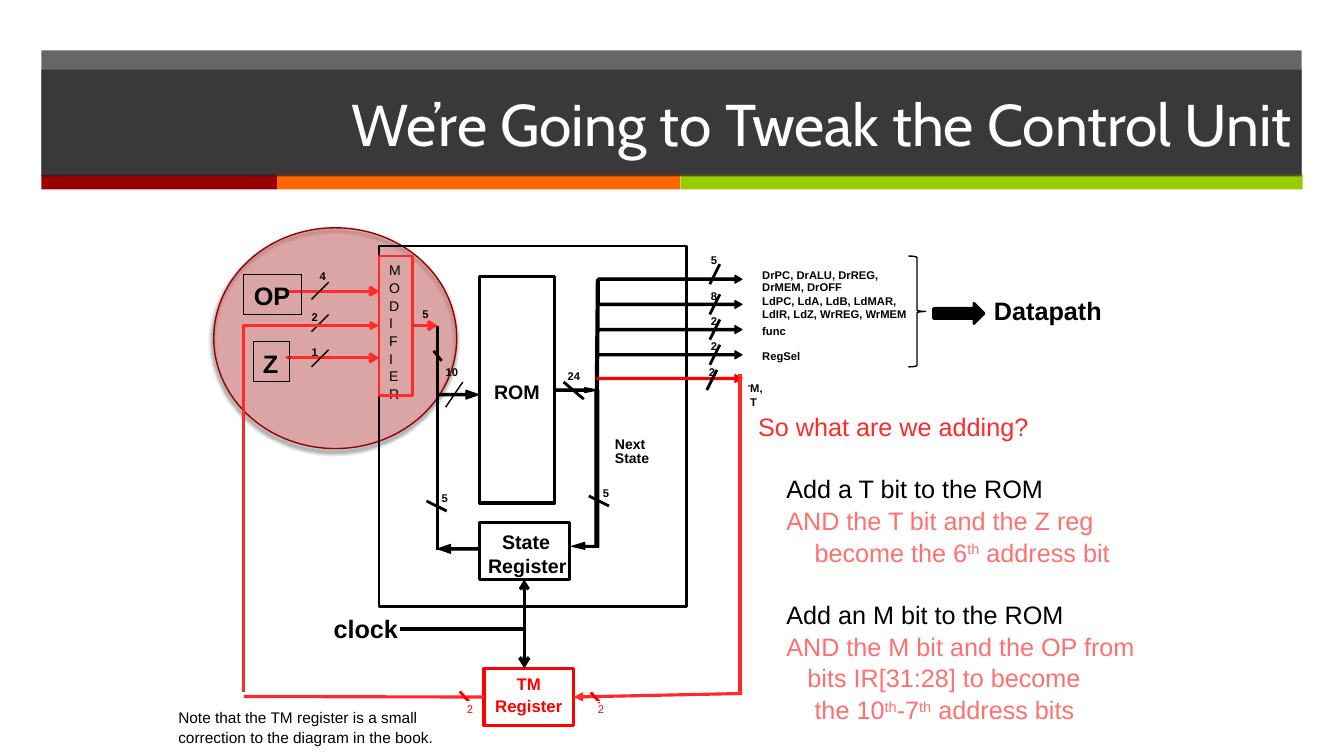
from lxml.etree import SubElement
from pptx import Presentation
from pptx.dml.color import RGBColor
from pptx.enum.shapes import MSO_CONNECTOR as CONN, MSO_SHAPE as SHAPE
from pptx.enum.text import MSO_ANCHOR as ANCHOR, MSO_AUTO_SIZE as FIT, PP_ALIGN as ALIGN
from pptx.oxml.ns import qn
from pptx.util import Inches, Pt

BLACK, WHITE = RGBColor(0, 0, 0), RGBColor(255, 255, 255)
RED, SIGNAL, PALE = RGBColor(255, 0, 0), RGBColor(255, 41, 41), RGBColor(255, 112, 112)
DARK, RIM, MAROON = RGBColor(38, 38, 38), RGBColor(150, 0, 0), RGBColor(153, 0, 0)
ORANGE, GREEN = RGBColor(255, 102, 0), RGBColor(153, 204, 0)
CELL = 0.1  # inches per grid column and row


def put(obj, **values):
    for name, value in values.items():
        setattr(obj, name, value)


def g(cells):
    return Inches(cells * CELL)


class Board:
    """Draws on one slide; every place and length is in grid cells."""

    def __init__(self, slide, font="Arial", spacing=1.05):
        self.shapes, self.font, self.spacing = slide.shapes, font, spacing

    def paint(self, s, fill=None, alpha=None, edge=None, width=0):
        if fill is None:
            s.fill.background()
        else:
            s.fill.solid()
            s.fill.fore_color.rgb = fill
        if alpha:
            color = s._element.spPr.find(qn("a:solidFill"))[0]
            SubElement(color, qn("a:alpha"), val=str(alpha * 1000))
        if edge is None:
            s.line.fill.background()
        else:
            s.line.color.rgb = edge
            s.line.width = Pt(width)

    def shape(self, kind, x, y, w, h, **look):
        s = self.shapes.add_shape(kind, g(x), g(y), g(w), g(h))
        s.shadow.inherit = False
        self.paint(s, **look)
        return s

    def rect(self, *box, **look):
        return self.shape(SHAPE.RECTANGLE, *box, **look)

    def fill_text(self, tf, paras, size, color=BLACK, bold=False, align=ALIGN.LEFT,
                  font=None, spacing=None):
        """Each paragraph is a string or a dict of text, indent, after and color; ^ marks superscript."""
        for i, para in enumerate(paras):
            d = para if isinstance(para, dict) else {"text": para}
            p = tf.paragraphs[0] if i == 0 else tf.add_paragraph()
            put(p, alignment=align, line_spacing=spacing or self.spacing,
                space_after=Pt(d.get("after", 0)))
            if "indent" in d:
                p._p.get_or_add_pPr().set("marL", str(g(d["indent"])))
            for j, part in enumerate(d["text"].split("^")):
                r = p.add_run()
                r.text = part
                put(r.font, name=font or self.font, size=Pt(size), bold=bold)
                r.font.color.rgb = d.get("color", color)
                if j % 2:
                    r.font._element.set("baseline", "30000")

    def text(self, x, y, w, h, paras, size, wrap=False, inset=True, look=None, **style):
        s = self.shapes.add_textbox(g(x), g(y), g(w), g(h))
        if look:
            self.paint(s, **look)
        tf = s.text_frame
        put(tf, word_wrap=wrap, auto_size=FIT.SHAPE_TO_FIT_TEXT)
        if not inset:
            put(tf, margin_left=0, margin_right=0, margin_top=0, margin_bottom=0)
        self.fill_text(tf, [paras] if isinstance(paras, str) else paras, size, **style)

    def label(self, x, y, w, text, size=8, h=1.3, bold=True, **style):
        self.text(x, y, w, h, text, size, inset=False, bold=bold, **style)

    def line(self, x1, y1, x2, y2, color=BLACK, width=0, head=None, tail=None,
             start=None, end=None, kind=CONN.STRAIGHT):
        c = self.shapes.add_connector(kind, g(x1), g(y1), g(x2), g(y2))
        if start:
            c.begin_connect(*start)
        if end:
            c.end_connect(*end)
        c.line.color.rgb = color
        c.line.width = Pt(width)
        ln = c._element.spPr.find(qn("a:ln"))
        for tag, arrow in (("a:headEnd", head), ("a:tailEnd", tail)):
            if arrow:
                SubElement(ln, qn(tag), type=arrow)
        SubElement(c._element.spPr, qn("a:effectLst"))
        return c

    def bent(self, x1, y1, x2, y2, **look):
        """One-corner connector that leaves vertically: down then left, or up then right."""
        cx, cy, w, h = (x1 + x2) / 2, (y1 + y2) / 2, abs(y2 - y1), abs(x2 - x1)
        c = self.line(cx - w / 2, cy - h / 2, cx + w / 2, cy + h / 2, kind=CONN.ELBOW, **look)
        c._element.spPr.find(qn("a:prstGeom")).set("prst", "bentConnector2")
        xfrm = c._element.spPr.find(qn("a:xfrm"))
        xfrm.set("rot", "5400000")
        if y2 < y1:
            xfrm.set("flipH", "1")
            xfrm.set("flipV", "1")

    def polygon(self, points, color=BLACK):
        pts = [(g(x), g(y)) for x, y in points]
        fb = self.shapes.build_freeform(*pts[0], scale=1.0)
        fb.add_line_segments(pts[1:], close=True)
        s = fb.convert_to_shape()
        s.shadow.inherit = False
        self.paint(s, fill=color, edge=color)

    def bus(self, x1, x2, y, head=0.7, half=0.4, color=BLACK):
        """Solid horizontal arrow from x1 to x2."""
        neck = x2 - head if x2 > x1 else x2 + head
        self.polygon([(x1, y - 0.12), (neck, y - 0.12), (neck, y - half), (x2, y),
                      (neck, y + half), (neck, y + 0.12), (x1, y + 0.12)], color)


def banner(b):
    b.rect(4.1, 5, 125, 12.4, fill=DARK, alpha=70)
    for x, w, color in ((4.1, 23.4, MAROON), (27.5, 40, ORANGE), (67.5, 61.7, GREEN)):
        b.rect(x, 17.3, w, 1.5, fill=color)


def title(b):
    s = b.rect(4.1, 6.9, 125, 10.6, fill=DARK, alpha=70)
    put(s.text_frame, word_wrap=True, vertical_anchor=ANCHOR.MIDDLE)
    b.fill_text(s.text_frame, ["We’re Going to Tweak the Control Unit"], 42, WHITE,
                align=ALIGN.RIGHT, font="Cabin", spacing=1.0)


def outputs(b):
    for y, w, signal in ((26.6, 11.9, "DrPC, DrALU, DrREG,"), (27.7, 8, "DrMEM, DrOFF"),
                         (29.1, 13.4, "LdPC, LdA, LdB, LdMAR,"),
                         (30.4, 14.5, "LdIR, LdZ, WrREG, WrMEM"),
                         (32.1, 2.4, "func"), (34.6, 3.8, "RegSel")):
        b.label(75.6, y, w, signal)
    b.label(74.2, 37.9, 0.7, "T")
    b.shape(SHAPE.RIGHT_BRACE, 90.1, 25.4, 1.7, 11, edge=BLACK, width=1)
    b.shape(SHAPE.RIGHT_ARROW, 92.6, 30.1, 5, 2, fill=BLACK, edge=BLACK, width=2)
    b.text(97.6, 28.7, 12.8, 4, "Datapath", 18, bold=True)


def additions(b):
    b.text(74.2, 40.2, 41.2, 31.3, [
        {"text": "So what are we adding?", "color": SIGNAL, "after": 21.6},
        {"text": "Add a T bit to the ROM", "indent": 2.8},
        {"text": "AND the T bit and the Z reg", "indent": 2.8, "color": PALE},
        {"text": "become the 6^th^ address bit", "indent": 5.6, "color": PALE, "after": 21.6},
        {"text": "Add an M bit to the ROM", "indent": 2.8},
        {"text": "AND the M bit and the OP from", "indent": 2.8, "color": PALE},
        {"text": "bits IR[31:28] to become", "indent": 4.9, "color": PALE},
        {"text": "the 10^th^-7^th^ address bits", "indent": 5.6, "color": PALE},
    ], 18, wrap=True)
    b.label(74.4, 37.8, 2.2, "M, T", look={"fill": WHITE})


def highlight(b):
    s = b.shape(SHAPE.OVAL, 21.2, 22.6, 24.1, 21.9, fill=SIGNAL, alpha=25, edge=RIM, width=1)
    shadow = SubElement(s._element.spPr.find(qn("a:effectLst")), qn("a:outerShdw"),
                        blurRad=str(Pt(3)), dist=str(Pt(2)), dir="6600000", rotWithShape="0")
    SubElement(SubElement(shadow, qn("a:srgbClr"), val="000000"), qn("a:alpha"), val="75000")


def control_unit(b):
    b.text(32.1, 60.2, 8.5, 4, "clock", 18, bold=True)
    b.bent(52, 57.5, 39.7, 62.4, width=2.25, head="arrow")
    for row, (bits, y) in enumerate((("5", 25.1), ("8", 28.6), ("2", 31.1), ("2", 33.6))):
        wire = 27.7 + 2.5 * row
        b.bus(59.3, 73.6, wire)
        slash = wire + (0.5 if row else 0)
        b.line(70.4, slash + 0.5, 71.4, slash - 1.5)
        b.label(70.5, y, 0.6, bits)
    b.rect(47.6, 27.4, 7.4, 22.5, edge=BLACK, width=2.25)
    b.rect(47.6, 51.8, 8.9, 5.7, edge=BLACK, width=2.25)
    for x, y, w, name in ((49, 37.6, 4.6, "ROM"), (49.8, 52.5, 4.8, "State"),
                          (48.4, 54.8, 7.8, "Register")):
        b.label(x, y, w, name, size=14, h=2.4)
    b.bus(55.1, 59.3, 38.7, head=1.3, half=0.25)
    b.line(59.2, 38.7, 59.3, 27.7, width=3)
    b.polygon([(59.4, 38.7), (59.4, 54.3), (58, 54.3), (58, 54.5), (56.7, 54.2),
               (58, 53.8), (58, 54.1), (59, 54.1), (59, 38.7)])
    b.bus(43.4, 47.5, 39.15, head=1.3, half=0.45)
    b.bus(47.5, 43.4, 54.45, head=1.3, half=0.45)
    b.line(43.4, 32.3, 43.4, 54.6, width=2.25)
    for y, word in ((43.1, "Next"), (44.5, "State")):
        b.label(61, y, 3.4, word, size=10, h=1.7)
    b.rect(37.6, 24.4, 30.5, 35.8, edge=BLACK, width=2)


def modifier(b):
    for y in (28.9, 35.5):
        b.line(28.4, y, 37.6, y, color=SIGNAL, width=2.25, tail="arrow")
    for x, y, w, name in ((25.1, 33.9, 3.6, "Z"), (24.2, 27.2, 5.7, "OP")):
        b.text(x, y, w, 4, name, 18, bold=True, look={"edge": BLACK, "width": 0.75})
    for y in (28, 31.2, 34.7):
        b.line(32.6, y, 30.9, y + 1.7, width=1)
    b.line(45.9, 37.9, 44.2, 40.4, width=1)
    b.bent(24.2, 68.7, 37.6, 32.3, color=SIGNAL, width=2.25, tail="triangle")
    b.text(37.6, 25.4, 3.2, 16.2, list("MODIFIER"), 10)
    box = b.rect(37.6, 25.4, 3.3, 13.8, edge=SIGNAL, width=2)
    b.line(40.9, 32.3, 43.4, 32.3, color=SIGNAL, width=2.25, tail="arrow", start=(box, 3))


def tm_register(b):
    b.bus(59.2, 73.6, 37.55, color=RED)
    b.line(73.4, 37.1, 73.4, 68.7, color=SIGNAL, width=2.25)
    tm = b.rect(48, 66.3, 8.9, 5.7, edge=RED, width=2.25)
    put(tm.text_frame, word_wrap=True, vertical_anchor=ANCHOR.TOP)
    b.fill_text(tm.text_frame, ["TM Register"], 12, RED, bold=True, align=ALIGN.CENTER)
    b.line(48, 69.1, 24.2, 69.1, color=SIGNAL, width=2.25, start=(tm, 1))
    b.line(73.6, 68.8, 56.9, 69.1, color=SIGNAL, width=2.25, tail="triangle", end=(tm, 3))
    b.line(52, 62.4, 52, 66.3, width=2.5, tail="arrow")
    for x, y in ((58.6, 68.7), (45.6, 68.6)):
        b.line(x, y, x + 0.9, y + 1, color=RED)
        b.label(x + 0.7, 69.6, 0.6, "2", bold=False, color=RED,
                look={"edge": WHITE, "width": 0.75})


def bit_widths(b):
    for ends in ((55.9, 37.9, 57.9, 39.6), (43, 34.8, 43.8, 35.8), (58.4, 49.2, 60.4, 50.2),
                 (42.3, 49.7, 44.3, 50.7), (70.1, 38.7, 71.1, 36.7)):
        b.line(*ends)
    for x, y, bits in ((59.8, 48.2, "5"), (56.3, 36.6, "24"), (31.7, 26.7, "4"),
                       (30.9, 34.2, "1"), (44.2, 36.2, "10"), (70.3, 36.2, "2"),
                       (30.9, 30.7, "2"), (41.9, 30.4, "5"), (43.8, 48.7, "5")):
        b.label(x, y, 0.65 * len(bits), bits)


def main():
    prs = Presentation()
    put(prs, slide_width=Inches(13.33), slide_height=Inches(7.5))
    b = Board(prs.slides.add_slide(prs.slide_layouts[6]))
    for draw in (banner, outputs, title, additions, highlight, control_unit,
                 modifier, tm_register, bit_widths):
        draw(b)
    b.text(16.7, 69.7, 29.6, 4.7, "Note that the TM register is a small correction "
           "to the diagram in the book.", 11, wrap=True)
    prs.save("out.pptx")


if __name__ == "__main__":
    main()
